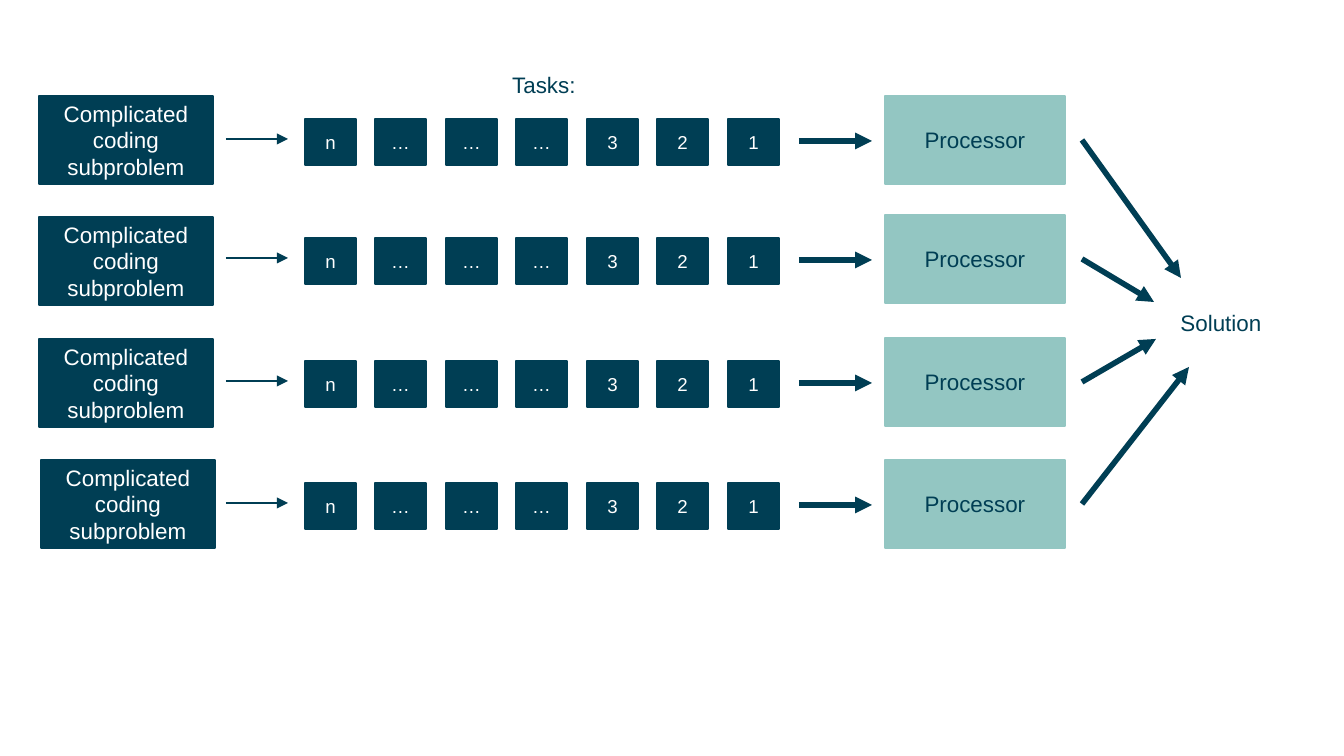
import pptx
import pptx.dml.color
import pptx.enum.shapes
import pptx.enum.text
import pptx.oxml
import pptx.oxml.ns
import pptx.util

SCALE = 914400 / 134.4
COLORS = {"navy": "003E54", "teal": "93C6C2", "white": "FFFFFF"}
FONT = "Arial"


def px(length):
    return pptx.util.Emu(round(length * SCALE))


def color(name):
    return pptx.dml.color.RGBColor.from_string(COLORS[name])


class Diagram:
    def __init__(self, slide):
        self.slide = slide

    def set_text(self, shape, text, text_color, size=12, centered=True, wrap=True):
        frame = shape.text_frame
        frame.word_wrap = wrap
        paragraph = frame.paragraphs[0]
        paragraph.text = text
        paragraph.font.name = FONT
        paragraph.font.size = pptx.util.Pt(size)
        paragraph.font.color.rgb = color(text_color)
        if centered:
            frame.vertical_anchor = pptx.enum.text.MSO_ANCHOR.MIDDLE
            paragraph.alignment = pptx.enum.text.PP_ALIGN.CENTER

    def box(self, left, top, width, height, text, fill, text_color, size=12):
        shape = self.slide.shapes.add_shape(
            pptx.enum.shapes.MSO_SHAPE.RECTANGLE,
            px(left), px(top), px(width), px(height))
        shape.shadow.inherit = False
        shape.fill.solid()
        shape.fill.fore_color.rgb = color(fill)
        shape.line.color.rgb = color(fill)
        shape.line.width = pptx.util.Pt(1)
        self.set_text(shape, text, text_color, size)

    def label(self, left, top, width, height, text, centered=True, wrap=True):
        shape = self.slide.shapes.add_textbox(px(left), px(top), px(width), px(height))
        self.set_text(shape, text, "navy", centered=centered, wrap=wrap)
        if not wrap:
            shape.text_frame.auto_size = pptx.enum.text.MSO_AUTO_SIZE.SHAPE_TO_FIT_TEXT

    def arrow(self, start, end, weight=3):
        connector = self.slide.shapes.add_connector(
            pptx.enum.shapes.MSO_CONNECTOR.STRAIGHT,
            px(start[0]), px(start[1]), px(end[0]), px(end[1]))
        connector.line.color.rgb = color("navy")
        connector.line.width = pptx.util.Pt(weight)
        properties = connector._element.spPr
        outline = properties.find(pptx.oxml.ns.qn("a:ln"))
        head = pptx.oxml.ns.qn("a:tailEnd")
        outline.append(outline.makeelement(head, {"type": "triangle"}))
        properties.append(properties.makeelement(pptx.oxml.ns.qn("a:effectLst"), {}))


def main():
    presentation = pptx.Presentation()
    presentation.slide_width = px(1344)
    presentation.slide_height = px(756)
    slide = presentation.slides.add_slide(presentation.slide_layouts[6])
    diagram = Diagram(slide)

    tasks = ["n", "…", "…", "…", "3", "2", "1"]
    rows = [
        ((39, 96), 96, (1181, 278)),
        ((39, 217), 215, (1154, 302)),
        ((39, 339), 338, (1156, 339)),
        ((41, 460), 460, (1189, 367)),
    ]
    for (problem_left, problem_top), top, solution_point in rows:
        diagram.box(problem_left, problem_top, 174, 88,
                    "Complicated coding subproblem", "navy", "white")
        diagram.arrow((226, top + 43), (288, top + 43), 1.5)
        for index, task in enumerate(tasks):
            diagram.box(305 + 141 * index // 2, top + 23, 51, 46,
                        task, "navy", "white", 10)
        diagram.arrow((799, top + 45), (872, top + 45))
        diagram.box(885, top, 180, 88, "Processor", "teal", "navy")
        diagram.arrow((1082, top + 44), solution_point)

    diagram.label(499, 65, 91, 41, "Tasks:", centered=False, wrap=False)
    diagram.label(1131, 279, 180, 88, "Solution")
    presentation.save("out.pptx")


if __name__ == "__main__":
    main()
